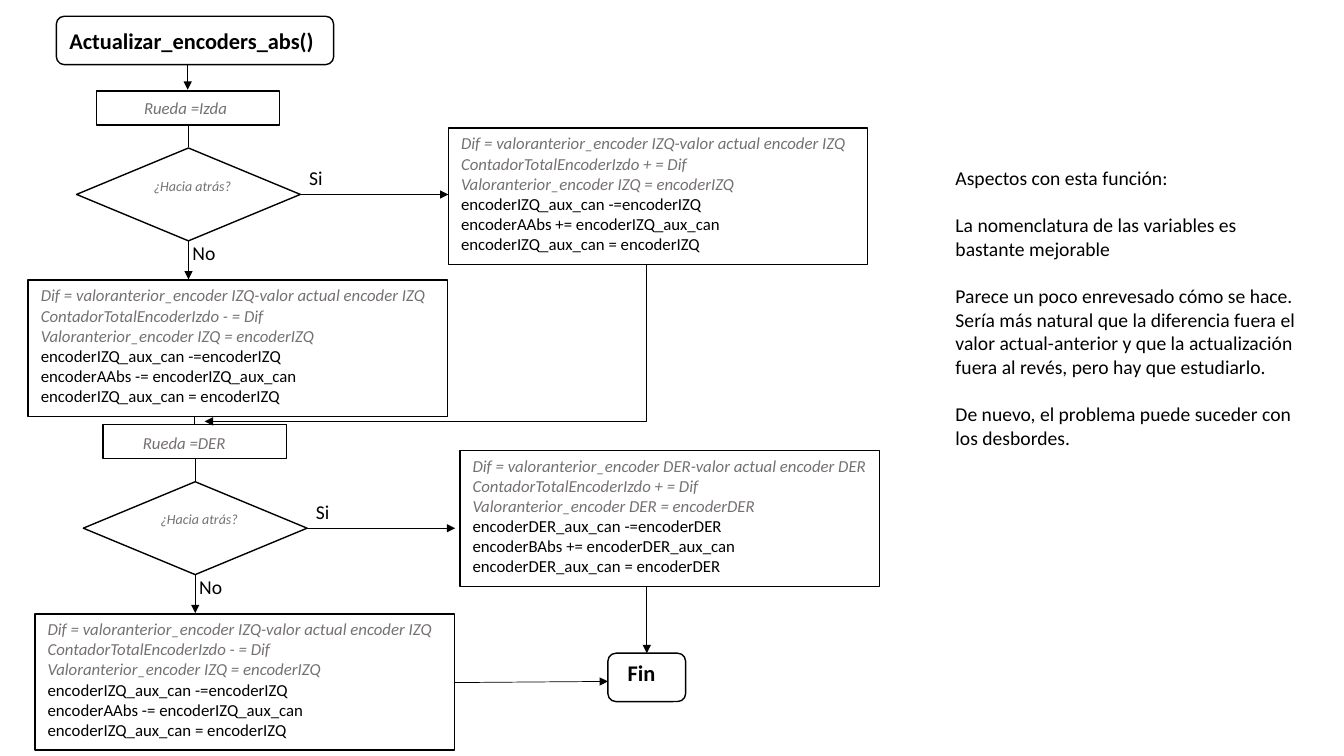
from dataclasses import dataclass

from pptx import Presentation
from pptx.dml.color import RGBColor
from pptx.enum import shapes, text
from pptx.oxml.ns import qn
from pptx.util import Cm, Pt

BLACK = RGBColor(0x00, 0x00, 0x00)
GRAY = RGBColor(0x76, 0x71, 0x71)
FONT = "Calibri"
Preset = shapes.MSO_SHAPE


@dataclass(frozen=True)
class Box:
    left: float
    top: float
    width: float
    height: float

    def moved(self, right: float, down: float) -> "Box":
        return Box(self.left + right, self.top + down, self.width, self.height)

    def lengths(self) -> tuple:
        return Cm(self.left), Cm(self.top), Cm(self.width), Cm(self.height)


@dataclass(frozen=True)
class Style:
    size: float
    color: RGBColor = BLACK
    bold: bool = False
    italic: bool = False


@dataclass(frozen=True)
class Line:
    wording: str
    style: Style


@dataclass(frozen=True)
class Arrow:
    x1: float
    y1: float
    x2: float
    y2: float
    pointed: bool = True


@dataclass(frozen=True)
class WheelBlock:
    right: float
    down: float
    wheel: str
    wheel_label: Box
    side_box: Box
    side_text_width: float
    side_lines: list[Line]
    lower_lines: list[Line]


TITLE = Style(16, bold=True)
VARIABLE = Style(12, GRAY, italic=True)
CODE = Style(12)
QUESTION = Style(10, GRAY, italic=True)
BODY = Style(14)


def code_lines(encoder: str, letter: str, sign: str) -> list[Line]:
    variables = [
        f"Dif = valoranterior_encoder {encoder}-valor actual encoder {encoder}",
        f"ContadorTotalEncoderIzdo {sign} = Dif",
        f"Valoranterior_encoder {encoder} = encoder{encoder}",
    ]
    updates = [
        f"encoder{encoder}_aux_can -=encoder{encoder}",
        f"encoder{letter}Abs {sign}= encoder{encoder}_aux_can",
        f"encoder{encoder}_aux_can = encoder{encoder}",
    ]
    return [Line(v, VARIABLE) for v in variables] + [Line(u, CODE) for u in updates]


def add_pointer(line) -> None:
    tail = line._get_or_add_ln().makeelement(qn("a:tailEnd"), {"type": "triangle"})
    line._get_or_add_ln().append(tail)


def outline(shape) -> None:
    shape.shadow.inherit = False
    shape.fill.background()
    shape.line.color.rgb = BLACK
    shape.line.width = Pt(1)


def add_outline(slide, preset: Preset, box: Box) -> None:
    outline(slide.shapes.add_shape(preset, *box.lengths()))


def add_text(slide, box: Box, lines: list[Line], wrap: bool = False,
             centered: bool = False, gap: float = 0) -> None:
    frame = slide.shapes.add_textbox(*box.lengths()).text_frame
    frame.word_wrap = wrap
    frame.auto_size = text.MSO_AUTO_SIZE.SHAPE_TO_FIT_TEXT
    for index, line in enumerate(lines):
        paragraph = frame.add_paragraph() if index else frame.paragraphs[0]
        if centered:
            paragraph.alignment = text.PP_ALIGN.CENTER
        if index and gap:
            paragraph.space_before = Pt(gap)
        run = paragraph.add_run()
        run.text = line.wording
        run.font.name = FONT
        run.font.size = Pt(line.style.size)
        run.font.color.rgb = line.style.color
        run.font.bold = line.style.bold
        run.font.italic = line.style.italic


def add_arrow(slide, arrow: Arrow, right: float = 0, down: float = 0) -> None:
    connector = slide.shapes.add_connector(
        shapes.MSO_CONNECTOR.STRAIGHT,
        Cm(arrow.x1 + right), Cm(arrow.y1 + down),
        Cm(arrow.x2 + right), Cm(arrow.y2 + down))
    connector.line.color.rgb = BLACK
    connector.line.width = Pt(0.5)
    if arrow.pointed:
        add_pointer(connector.line)
    properties = connector._element.spPr
    properties.append(properties.makeelement(qn("a:effectLst"), {}))


def add_code(slide, box: Box, text_width: float, lines: list[Line]) -> None:
    add_outline(slide, Preset.RECTANGLE, box)
    add_text(slide, Box(box.left + 0.07, box.top, text_width, 3.33), lines)


def add_wheel_block(slide, block: WheelBlock) -> None:
    offset = (block.right, block.down)
    add_outline(slide, Preset.RECTANGLE, Box(2.43, 2.29, 4.62, 0.86).moved(*offset))
    add_text(slide, block.wheel_label, [Line(f"Rueda ={block.wheel}", VARIABLE)])
    add_outline(slide, Preset.FLOWCHART_DECISION, Box(1.93, 3.73, 5.64, 2.34).moved(*offset))
    add_text(slide, Box(3.02, 4.34, 3.66, 0.69).moved(*offset),
             [Line("¿Hacia atrás?", QUESTION)], wrap=True, centered=True)
    add_text(slide, Box(7.54, 4.06, 0.86, 0.86).moved(*offset), [Line("Si", BODY)])
    add_text(slide, Box(4.6, 5.94, 1.09, 0.86).moved(*offset), [Line("No", BODY)])
    for arrow in (Arrow(4.75, 3.15, 4.75, 3.71, pointed=False),
                  Arrow(7.52, 4.9, 11.3, 4.9),
                  Arrow(4.75, 6.07, 4.75, 7.04)):
        add_arrow(slide, arrow, *offset)
    add_code(slide, block.side_box, block.side_text_width, block.side_lines)
    add_code(slide, Box(0.71, 7.06, 10.57, 3.43).moved(*offset), 10.29, block.lower_lines)


def add_return_path(slide) -> None:
    builder = slide.shapes.build_freeform(Cm(16.3), Cm(6.68))
    builder.add_line_segments([(Cm(16.3), Cm(10.62)), (Cm(5.16), Cm(10.62))], close=False)
    path_shape = builder.convert_to_shape()
    outline(path_shape)
    add_pointer(path_shape.line)


WHEEL_BLOCKS = [
    WheelBlock(0, 0, "Izda", Box(3.38, 2.34, 2.62, 0.76),
               Box(11.3, 3.23, 10.57, 3.43), 10.29,
               code_lines("IZQ", "A", "+"), code_lines("IZQ", "A", "-")),
    WheelBlock(0.17, 8.41, "DER", Box(3.35, 10.77, 2.62, 0.76),
               Box(11.59, 11.35, 10.57, 3.43), 10.54,
               code_lines("DER", "B", "+"), code_lines("IZQ", "A", "-")),
]
ARROWS = [
    Arrow(4.73, 1.63, 4.73, 2.26),
    Arrow(4.91, 10.49, 4.91, 10.69, pointed=False),
    Arrow(11.46, 17.2, 15.32, 17.17),
    Arrow(16.3, 14.78, 16.3, 16.46),
]
REMARKS = [
    "Aspectos con esta función:",
    "La nomenclatura de las variables es bastante mejorable",
    "Parece un poco enrevesado cómo se hace. Sería más natural que la diferencia "
    "fuera el valor actual-anterior y que la actualización fuera al revés, "
    "pero hay que estudiarlo.",
    "De nuevo, el problema puede suceder con los desbordes.",
]


def main() -> None:
    presentation = Presentation()
    presentation.slide_width, presentation.slide_height = Cm(33.87), Cm(19.05)
    slide = presentation.slides.add_slide(presentation.slide_layouts[6])
    add_outline(slide, Preset.ROUNDED_RECTANGLE, Box(1.42, 0.41, 6.99, 1.22))
    add_text(slide, Box(1.5, 0.56, 6.88, 0.94), [Line("Actualizar_encoders_abs()", TITLE)])
    for block in WHEEL_BLOCKS:
        add_wheel_block(slide, block)
    add_return_path(slide)
    add_outline(slide, Preset.ROUNDED_RECTANGLE, Box(15.32, 16.46, 1.96, 1.22))
    add_text(slide, Box(15.57, 16.48, 1.22, 0.94), [Line("Fin", TITLE)])
    for arrow in ARROWS:
        add_arrow(slide, arrow)
    add_text(slide, Box(23.83, 4.06, 9.07, 7.44),
             [Line(remark, BODY) for remark in REMARKS], wrap=True, gap=17)
    presentation.save("out.pptx")


if __name__ == "__main__":
    main()
